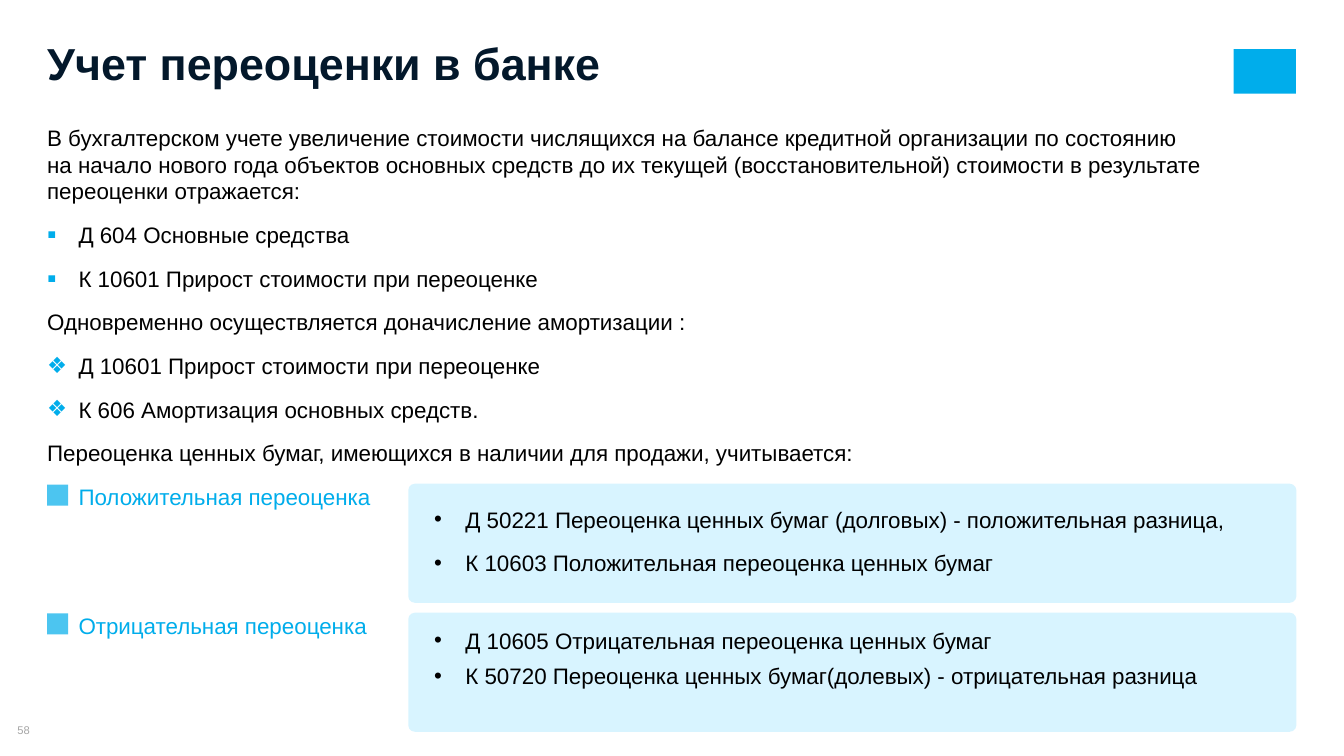
from dataclasses import dataclass

from lxml import etree
from pptx import Presentation
from pptx.dml.color import RGBColor
from pptx.enum.shapes import MSO_SHAPE as Shape
from pptx.enum.text import MSO_ANCHOR as Anchor, PP_ALIGN as Align
from pptx.oxml.ns import qn
from pptx.util import Cm, Pt


@dataclass(frozen=True)
class Theme:
    font: str = "Arial"
    accent: str = "00ADEB"
    card: str = "C8F0FF"
    title: str = "03182B"
    text: str = "000000"
    muted: str = "A6A6A6"
    title_size: int = 32
    body_size: int = 16
    number_size: int = 8
    alpha: int = 70


T = Theme()

BODY = [
    ("В бухгалтерском учете увеличение стоимости числящихся на балансе кредитной "
     "организации по состоянию \nна начало нового года объектов основных средств до их "
     "текущей (восстановительной) стоимости в результате переоценки отражается:", None),
    ("Д 604 Основные средства", "▪"),
    ("К 10601 Прирост стоимости при переоценке", "▪"),
    ("Одновременно осуществляется доначисление амортизации :", None),
    ("Д 10601 Прирост стоимости при переоценке", "❖"),
    ("К 606 Амортизация основных средств.", "❖"),
    ("Переоценка ценных бумаг, имеющихся в наличии для продажи, учитывается:", None),
]
# Label, entries, text offset from the card's top, space after each entry
CARDS = [
    ("Положительная переоценка",
     ["Д 50221 Переоценка ценных бумаг (долговых) - положительная разница,",
      "К 10603 Положительная переоценка ценных бумаг"], 0.43, 12),
    ("Отрицательная переоценка",
     ["Д 10605 Отрицательная переоценка ценных бумаг",
      "К 50720 Переоценка ценных бумаг(долевых) - отрицательная разница"], 0.23, 6),
]


def add_bullet(p, char, color):
    pPr = p._p.get_or_add_pPr()
    pPr.set("marL", str(Cm(0.79)))
    pPr.set("indent", str(-Cm(0.79)))
    clr = etree.SubElement(pPr, qn("a:buClr"))
    etree.SubElement(clr, qn("a:srgbClr"), val=color)
    if char == "▪":
        etree.SubElement(pPr, qn("a:buSzPct"), val="120000")
    etree.SubElement(pPr, qn("a:buFont"), typeface=T.font)
    etree.SubElement(pPr, qn("a:buChar"), char=char)


def add_text(shapes, box, items, color=T.text, size=T.body_size, bold=False,
             inset=True, anchor=Anchor.TOP, bullet_color=T.accent, **para):
    """Write (text, bullet) items into a wrapped text box."""
    tf = shapes.add_textbox(*map(Cm, box)).text_frame
    frame = {"word_wrap": True, "vertical_anchor": anchor}
    if not inset:
        frame |= dict.fromkeys(
            ("margin_left", "margin_top", "margin_right", "margin_bottom"), 0)
    for name, value in frame.items():
        setattr(tf, name, value)
    for i, (text, bullet) in enumerate(items):
        p = tf.add_paragraph() if i else tf.paragraphs[0]
        if bullet:
            add_bullet(p, bullet, bullet_color)
        for name, value in para.items():
            setattr(p, name, value)
        p.text = text
        for br in p._p.findall(qn("a:br")):
            etree.SubElement(br, qn("a:rPr"), sz=str(size * 100))
        for r in p.runs:
            for name, value in {"name": T.font, "size": Pt(size), "bold": bold}.items():
                setattr(r.font, name, value)
            r.font.color.rgb = RGBColor.from_string(color)


def add_block(shapes, kind, box, color, alpha=100):
    sp = shapes.add_shape(kind, *map(Cm, box))
    sp.shadow.inherit = False
    sp.line.fill.background()
    sp.fill.solid()
    sp.fill.fore_color.rgb = RGBColor.from_string(color)
    if alpha < 100:
        clr = sp._element.spPr.find(qn("a:solidFill")).find(qn("a:srgbClr"))
        etree.SubElement(clr, qn("a:alpha"), val=str(alpha * 1000))
    return sp


def add_card(s, top, label, entries, offset, space):
    shapes = s.shapes.add_group_shape().shapes
    card = add_block(shapes, Shape.ROUNDED_RECTANGLE, (10.29, top, 22.38, 3), T.card, T.alpha)
    card.adjustments[0] = 0.055
    add_block(shapes, Shape.RECTANGLE, (1.19, top + 0.02, 0.53, 0.53), T.accent, T.alpha)
    add_text(shapes, (1.73, top - 0.15, 13.36, 0.94), [(label, None)], T.accent)
    add_text(shapes, (10.69, top + offset, 21.8, 2), [(e, "•") for e in entries],
             bullet_color=T.text, space_after=Pt(space))


def main():
    prs = Presentation()
    prs.slide_width, prs.slide_height = Cm(33.87), Cm(19.05)
    s = prs.slides.add_slide(prs.slide_layouts[6])

    # Corner mark and slide number
    add_block(s.shapes, Shape.RECTANGLE, (31.09, 1.24, 1.57, 1.12), T.accent)
    add_text(s.shapes, (0, 18.24, 1.19, 0.33), [("58", None)], T.muted, T.number_size,
             inset=False, anchor=Anchor.MIDDLE, alignment=Align.CENTER)

    # Title and main text
    add_text(s.shapes, (1.19, 1.17, 26.72, 1.09), [("Учет переоценки в банке", None)],
             T.title, T.title_size, bold=True, inset=False, line_spacing=0.8)
    add_text(s.shapes, (1.19, 3.12, 30.53, 8.71), BODY, inset=False, space_after=Pt(12))

    # Revaluation cards
    for i, card in enumerate(CARDS):
        add_card(s, 12.19 + 3.25 * i, *card)

    prs.save("out.pptx")


if __name__ == "__main__":
    main()
